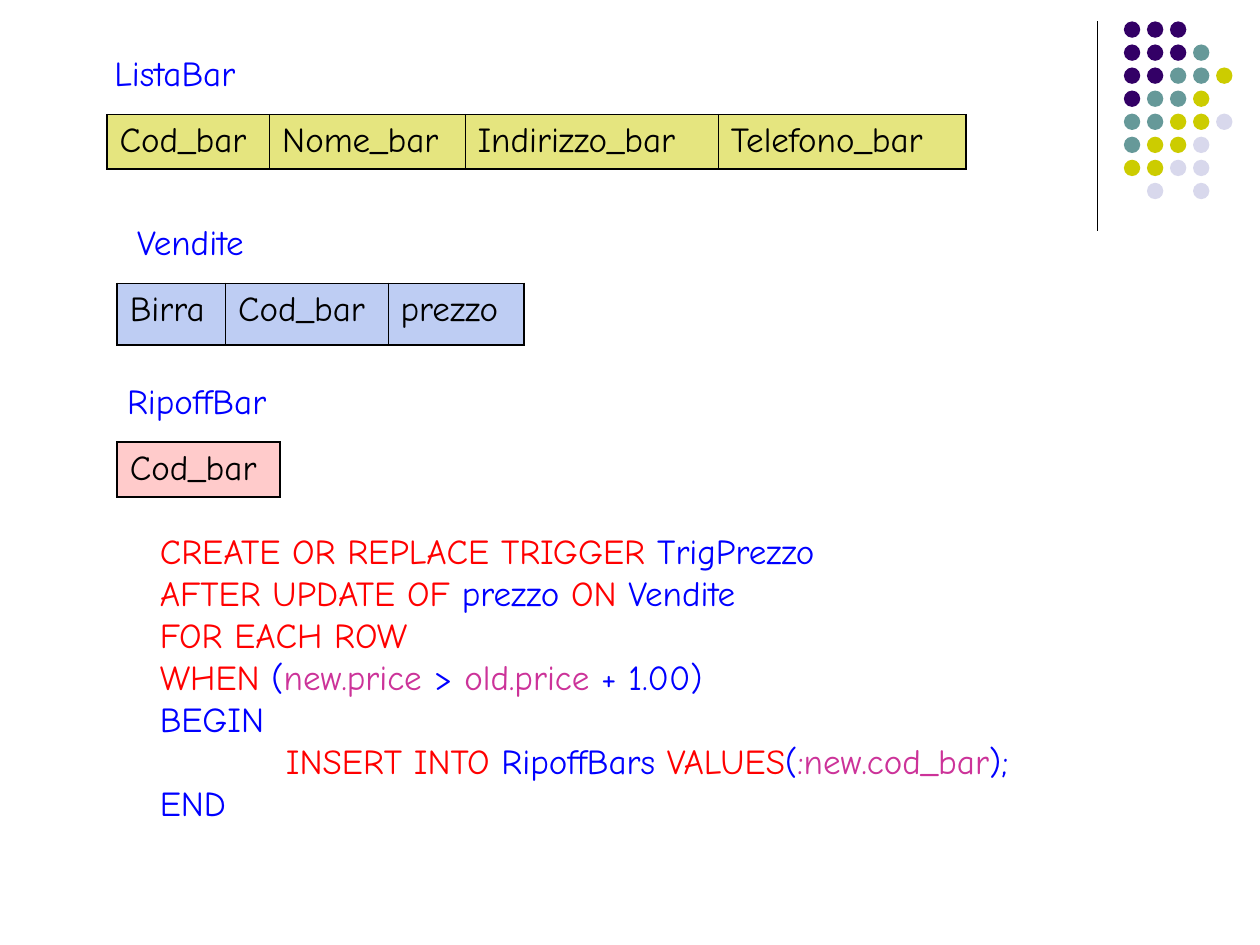
from lxml.etree import SubElement
from pptx import Presentation
from pptx.dml.color import RGBColor
from pptx.enum.shapes import MSO_CONNECTOR as Connector, MSO_SHAPE as Shape
from pptx.enum.text import MSO_AUTO_SIZE as AutoSize
from pptx.oxml.ns import qn
from pptx.util import Inches, Pt

COLORS = {
    "black": "000000", "keyword": "FF0000", "name": "0000FF", "value": "CC3399",
    "olive": "CCCC00", "sky": "7E9CE8", "rose": "FF9999",
    "P": "330066", "T": "669999", "Y": "CCCC00", "L": "D8D8EC",
}
FONT = {"name": "Comic Neue", "size": Pt(20)}
FRAME = {"word_wrap": False, "auto_size": AutoSize.SHAPE_TO_FIT_TEXT}
RELATIONS = [
    {"name": "ListaBar", "label": (0.81, 0.36, 1.17), "at": (0.85, 0.91), "height": 0.43, "fill": "olive",
     "fields": [("Cod_bar", 1.29), ("Nome_bar", 1.55), ("Indirizzo_bar", 2.01), ("Telefono_bar", 1.97)]},
    {"name": "Vendite", "label": (0.99, 1.7, 1.07), "at": (0.93, 2.25), "height": 0.49, "fill": "sky",
     "fields": [("Birra", 0.86), ("Cod_bar", 1.29), ("prezzo", 1.08)]},
    {"name": "RipoffBar", "label": (0.91, 2.96, 1.32), "at": (0.93, 3.51), "height": 0.43, "fill": "rose",
     "fields": [("Cod_bar", 1.29)]},
]
TRIGGER = [
    [("CREATE OR REPLACE TRIGGER", "keyword"), (" TrigPrezzo", "name")],
    [("AFTER UPDATE OF", "keyword"), (" prezzo ", "name"), ("ON", "keyword"), (" Vendite", "name")],
    [("FOR EACH ROW", "keyword")],
    [("WHEN ", "keyword"), ("(", "name"), ("new.price", "value"), (" > ", "name"),
     ("old.price", "value"), (" + 1.00)", "name")],
    [("BEGIN", "name")],
    [("\tINSERT INTO ", "keyword"), ("RipoffBars", "name"), (" VALUES", "keyword"), ("(", "name"),
     (":new.cod_bar", "value"), (");", "name")],
    [("END", "name")],
]
DOT_ROWS = ["PPP", "PPPT", "PPTTY", "PTTY", "TTYYL", "TYYL", "YYLL", " L L"]
DOT_LEFT, DOT_TOP, DOT_STEP, DOT_SIZE = 8.92, 0.17, 0.183, 0.13
THICK, THIN = 1.08, 0.45


def rgb(key):
    return RGBColor.from_string(COLORS[key])


def add_spans(para, spans):
    for text, color in spans:
        span = para.add_run()
        span.text = text
        span.font.color.rgb = rgb(color)
        for key, value in FONT.items():
            setattr(span.font, key, value)


def add_text(page, left, top, width, height, lines):
    frame = page.shapes.add_textbox(*map(Inches, (left, top, width, height))).text_frame
    for key, value in FRAME.items():
        setattr(frame, key, value)
    for index, spans in enumerate(lines):
        para = frame.add_paragraph() if index else frame.paragraphs[0]
        stops = SubElement(para._p.get_or_add_pPr(), qn("a:tabLst"))
        SubElement(stops, qn("a:tab"), pos=str(Inches(1)), algn="l")
        add_spans(para, spans)


def set_borders(cell, widths):
    props = cell._tc.get_or_add_tcPr()
    for side, width in zip("LRTB", widths):
        line = SubElement(props, qn(f"a:ln{side}"), w=str(Pt(width)))
        fill = SubElement(line, qn("a:solidFill"))
        SubElement(fill, qn("a:srgbClr"), val=COLORS["black"])


def set_fill(cell, color):
    cell.fill.solid()
    cell.fill.fore_color.rgb = rgb(color)
    tint = cell._tc.tcPr.find(qn("a:solidFill")).find(qn("a:srgbClr"))
    SubElement(tint, qn("a:alpha"), val="50000")


def add_relation(page, relation):
    add_text(page, *relation["label"], 0.44, [[(relation["name"], "name")]])
    fields = relation["fields"]
    size = sum(width for _, width in fields), relation["height"]
    table = page.shapes.add_table(1, len(fields), *map(Inches, relation["at"] + size)).table
    table.first_row = table.horz_banding = False
    last = len(fields) - 1
    for index, (text, width) in enumerate(fields):
        table.columns[index].width = Inches(width)
        cell = table.cell(0, index)
        set_borders(cell, (THIN if index else THICK, THIN if index < last else THICK, THICK, THICK))
        set_fill(cell, relation["fill"])
        para = cell.text_frame.paragraphs[0]
        para.space_before = Pt(5)
        add_spans(para, [(text, "black")])


def add_ornament(page):
    rule = page.shapes.add_connector(Connector.STRAIGHT, *map(Inches, (8.71, 0.17, 8.71, 1.83)))
    rule.line.color.rgb = rgb("black")
    rule.line.width = Pt(0.74)
    SubElement(rule._element.spPr, qn("a:effectLst"))
    for row, dots in enumerate(DOT_ROWS):
        for column, color in enumerate(dots):
            if color == " ":
                continue
            place = DOT_LEFT + column * DOT_STEP, DOT_TOP + row * DOT_STEP, DOT_SIZE, DOT_SIZE
            dot = page.shapes.add_shape(Shape.OVAL, *map(Inches, place))
            dot.shadow.inherit = False
            dot.fill.solid()
            dot.fill.fore_color.rgb = rgb(color)
            dot.line.fill.background()


deck = Presentation()
deck.slide_width, deck.slide_height = Inches(10), Inches(7.5)
page = deck.slides.add_slide(deck.slide_layouts[6])
add_ornament(page)
for relation in RELATIONS:
    add_relation(page, relation)
add_text(page, 1.17, 4.15, 6.97, 2.44, TRIGGER)
deck.save("out.pptx")
